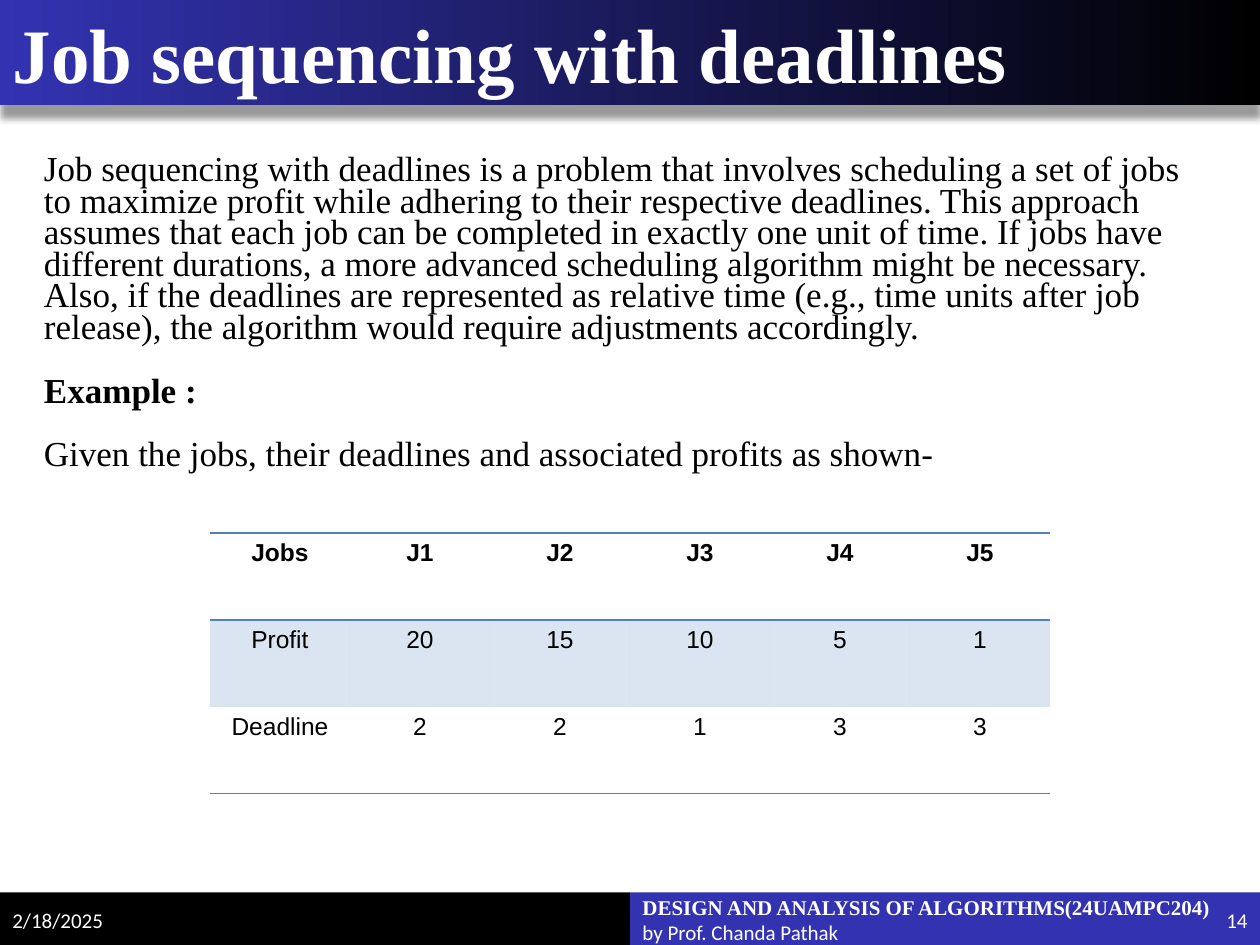
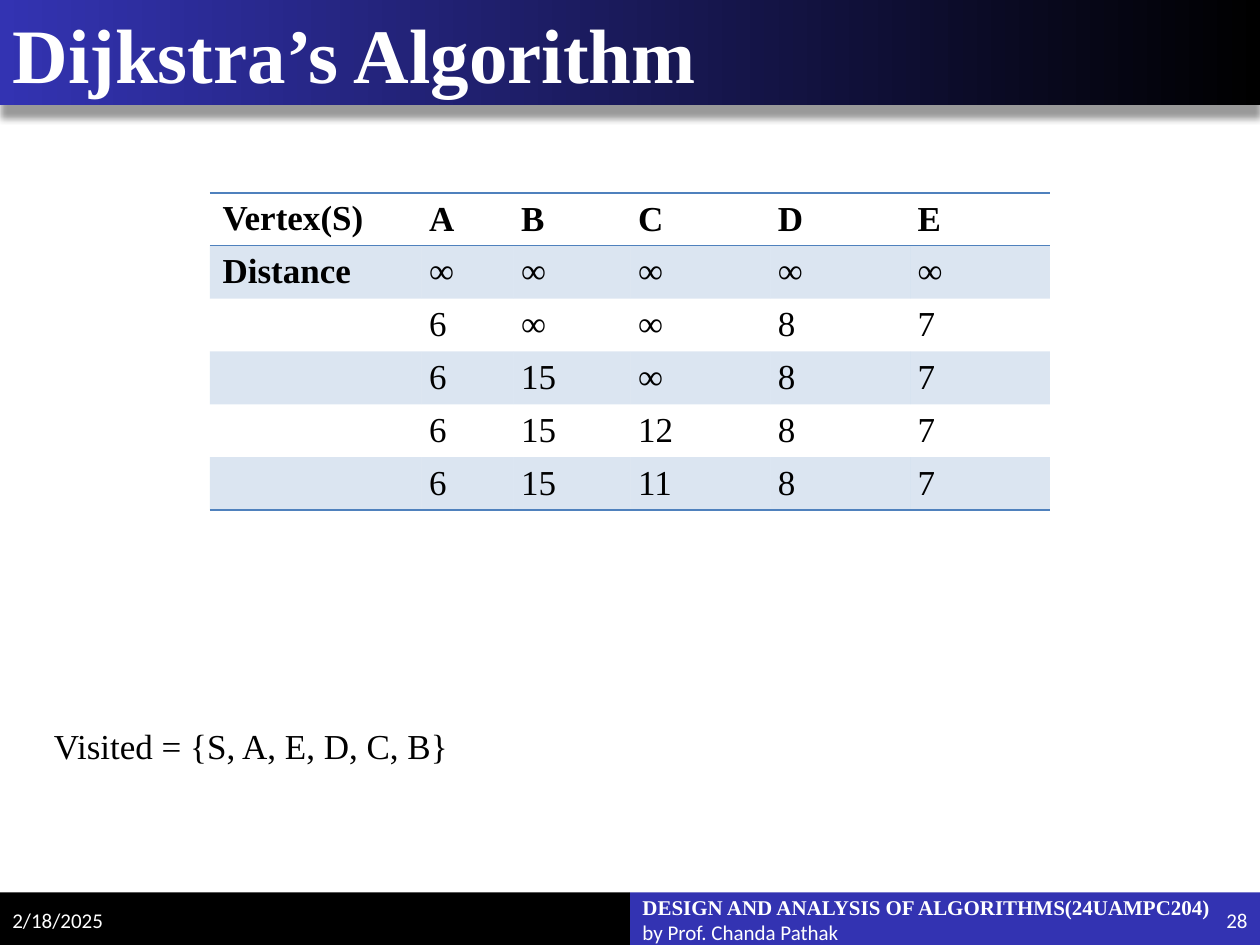
from lxml import etree
from pptx import Presentation
from pptx.dml.color import RGBColor
from pptx.enum.shapes import MSO_SHAPE
from pptx.enum.text import MSO_ANCHOR, MSO_AUTO_SIZE, PP_ALIGN
from pptx.oxml.ns import qn
from pptx.util import Inches, Pt

RECT = MSO_SHAPE.RECTANGLE
TOP, MIDDLE = MSO_ANCHOR.TOP, MSO_ANCHOR.MIDDLE
LEFT, CENTER, RIGHT = PP_ALIGN.LEFT, PP_ALIGN.CENTER, PP_ALIGN.RIGHT
NO_FIT = MSO_AUTO_SIZE.NONE

BLACK = RGBColor(0x00, 0x00, 0x00)
WHITE = RGBColor(0xFF, 0xFF, 0xFF)
INDIGO = RGBColor(0x33, 0x33, 0xB2)
STEEL = RGBColor(0x4F, 0x81, 0xBD)

SERIF, SANS, FOOT = "Times New Roman", "Arial", "Calibri"
W, H = 10, 7.5
TITLE_H = H / 9
BAR_H = H / 18
FOOT_H = 0.4
NO_STYLE = "{2D5ABB26-0587-4C30-8999-92F81FD0307C}"

DATE = "2/18/2025"
COURSE = "DESIGN AND ANALYSIS OF ALGORITHMS(24UAMPC204)"
AUTHOR = "by Prof. Chanda Pathak"

SLIDES = [
    {
        "title": "Job sequencing with deadlines",
        "number": "14",
        "body": [
            ("Job sequencing with deadlines is a problem that involves scheduling a set of jobs "
             "to maximize profit while adhering to their respective deadlines. This approach "
             "assumes that each job can be completed in exactly one unit of time. If jobs have "
             "different durations, a more advanced scheduling algorithm might be necessary. "
             "Also, if the deadlines are represented as relative time (e.g., time units after job "
             "release), the algorithm would require adjustments accordingly.", False),
            ("Example :", True),
            ("Given the jobs, their deadlines and associated profits as shown-", False),
        ],
        "body_box": (0.13, 1.2, 9.62, 2.8),
        "indent": 0.12,
        "line_spacing": Pt(18),
        "table": {
            "rows": [
                ("Jobs", "J1", "J2", "J3", "J4", "J5"),
                ("Profit", "20", "15", "10", "5", "1"),
                ("Deadline", "2", "2", "1", "3", "3"),
            ],
            "top": 4.23, "row_h": 0.69, "weights": (1, 1, 1, 1, 1, 1),
            "font": SANS, "size": 14, "align": CENTER,
            "bold_labels": False, "compact": False,
        },
    },
    {
        "title": "Dijkstra’s Algorithm",
        "number": "28",
        "body": [("Visited = {S, A, E, D, C, B}", False)],
        "body_box": (0.33, 5.68, 9.17, 0.5),
        "indent": 0,
        "line_spacing": 1.07,
        "table": {
            "rows": [
                ("Vertex(S)", "A", "B", "C", "D", "E"),
                ("Distance", "∞", "∞", "∞", "∞", "∞"),
                ("", "6", "∞", "∞", "8", "7"),
                ("", "6", "15", "∞", "8", "7"),
                ("", "6", "15", "12", "8", "7"),
                ("", "6", "15", "11", "8", "7"),
            ],
            "top": 1.53, "row_h": 0.42, "weights": (1.68, 0.73, 0.93, 1.11, 1.11, 1.11),
            "font": SERIF, "size": 20, "align": LEFT,
            "bold_labels": True, "compact": True,
        },
    },
]


def inches(*lengths):
    return [Inches(x) for x in lengths]


def style(r, font, size, color, bold=False):
    r.font.name, r.font.size, r.font.bold = font, Pt(size), bold
    r.font.color.rgb = color


def add_box(slide, box, anchor):
    tf = slide.shapes.add_textbox(*inches(*box)).text_frame
    tf.word_wrap, tf.auto_size, tf.vertical_anchor = True, NO_FIT, anchor
    return tf


def add_bar(slide, left, top, width, height, color):
    sp = slide.shapes.add_shape(RECT, *inches(left, top, width, height))
    sp.shadow.inherit = False
    sp.line.fill.background()
    sp.fill.solid()
    sp.fill.fore_color.rgb = color
    return sp


def add_title(slide, text):
    band = add_bar(slide, 0, 0, W, TITLE_H, INDIGO)
    band.fill.gradient()
    band.fill.gradient_angle = 0
    for stop, color in zip(band.fill.gradient_stops, (INDIGO, BLACK)):
        stop.color.rgb = color
    effects = band._element.spPr.find(qn("a:effectLst"))
    shadow = etree.SubElement(effects, qn("a:outerShdw"), blurRad=str(Pt(4)), dist=str(Pt(7)),
                              dir="5400000", algn="t", rotWithShape="0")
    color = etree.SubElement(shadow, qn("a:srgbClr"), val=str(BLACK))
    etree.SubElement(color, qn("a:alpha"), val="40000")

    title = slide.shapes.title
    title.left, title.top, title.width, title.height = inches(0, 0, 9.75, TITLE_H)
    slide.shapes._spTree.append(title._element)
    tf = title.text_frame
    tf.text = text
    tf.word_wrap, tf.auto_size, tf.vertical_anchor = True, NO_FIT, MIDDLE
    p = tf.paragraphs[0]
    p.alignment = LEFT
    style(p.runs[0], SERIF, 44, WHITE, True)


def add_footer(slide, number):
    add_bar(slide, W / 2, H - BAR_H, W / 2, BAR_H, INDIGO)
    add_bar(slide, 0, H - BAR_H, W / 2, BAR_H, BLACK)
    parts = [
        (0, 1.17, DATE, LEFT, [(FOOT, False)]),
        (W / 2, 4.75, COURSE + "\v" + AUTHOR, LEFT, [(SERIF, True), (FOOT, False)]),
        (W - 1.17, 1.17, number, RIGHT, [(FOOT, False)]),
    ]
    for left, width, text, align, fonts in parts:
        p = add_box(slide, (left, H - FOOT_H, width, FOOT_H), MIDDLE).paragraphs[0]
        p.text = text
        p.alignment = align
        for r, (font, bold) in zip(p.runs, fonts):
            style(r, font, 12, WHITE, bold)


def add_body(slide, data):
    tf = add_box(slide, data["body_box"], TOP)
    for i, (text, bold) in enumerate(data["body"]):
        p = tf.add_paragraph() if i else tf.paragraphs[0]
        p.text = text
        p.line_spacing = data["line_spacing"]
        p.space_before, p.space_after = Pt(6.4), Pt(12)
        p._p.get_or_add_pPr().set("marL", str(Inches(data["indent"])))
        style(p.runs[0], SERIF, 20, BLACK, bold)


def add_rule(cell, side):
    ln = etree.SubElement(cell._tc.get_or_add_tcPr(), qn("a:" + side), w=str(Pt(1)))
    fill = etree.SubElement(ln, qn("a:solidFill"))
    etree.SubElement(fill, qn("a:srgbClr"), val=str(STEEL))


def shade(cell, banded):
    if not banded:
        cell.fill.background()
        return
    cell.fill.solid()
    cell.fill.fore_color.rgb = STEEL
    color = cell._tc.tcPr.find(qn("a:solidFill"))[0]
    etree.SubElement(color, qn("a:alpha"), val="20000")


def add_table(slide, data):
    rows, weights = data["rows"], data["weights"]
    width = W * 2 / 3
    frame = slide.shapes.add_table(
        len(rows), len(weights),
        *inches((W - width) / 2, data["top"], width, data["row_h"] * len(rows)))
    table = frame.table
    table.first_row = table.horz_banding = False
    table._tbl.tblPr.find(qn("a:tableStyleId")).text = NO_STYLE
    for column, weight in zip(table.columns, weights):
        column.width = Inches(width * weight / sum(weights))
    for i, row in enumerate(rows):
        table.rows[i].height = Inches(data["row_h"])
        for j, text in enumerate(row):
            cell = table.cell(i, j)
            if i == 0:
                add_rule(cell, "lnT")
            if i in (0, len(rows) - 1):
                add_rule(cell, "lnB")
            shade(cell, i % 2 == 1)
            if data["compact"] and j:
                cell.vertical_anchor = MIDDLE
                cell.margin_left = cell.margin_right = Inches(0.06)
                cell.margin_top = cell.margin_bottom = Inches(0.05)
            p = cell.text_frame.paragraphs[0]
            p.text = text
            p.alignment = data["align"]
            for r in p.runs:
                bold = i == 0 or (data["bold_labels"] and j == 0)
                style(r, data["font"], data["size"], BLACK, bold)


def main():
    prs = Presentation()
    prs.slide_width, prs.slide_height = inches(W, H)
    for data in SLIDES:
        slide = prs.slides.add_slide(prs.slide_layouts[5])
        add_title(slide, data["title"])
        add_footer(slide, data["number"])
        add_body(slide, data)
        add_table(slide, data["table"])
    prs.save("out.pptx")


if __name__ == "__main__":
    main()
